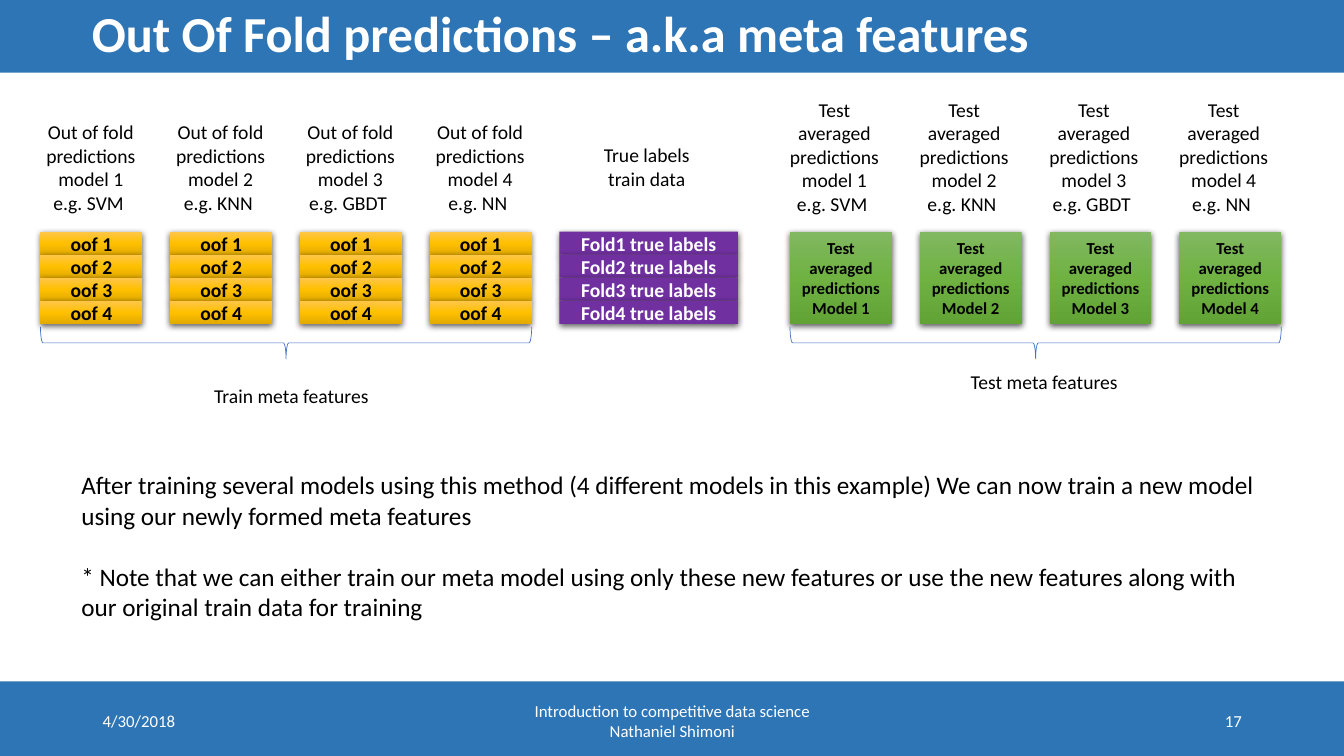
from copy import deepcopy
from dataclasses import dataclass

from lxml.etree import SubElement
from pptx import Presentation
from pptx.dml.color import RGBColor
from pptx.enum.shapes import MSO_SHAPE
from pptx.enum.text import MSO_ANCHOR, MSO_AUTO_SIZE, PP_ALIGN
from pptx.oxml.ns import qn
from pptx.shapes.autoshape import Shape
from pptx.slide import Slide
from pptx.text.text import TextFrame
from pptx.util import Cm, Pt

FONT = "Calibri"
BLACK, WHITE, BLUE, PURPLE = "000000", "FFFFFF", "2E75B6", "7030A0"
BRACE_BLUE = "4472C4"
GOLD = ("FFC64B", "FFC000", "E3AB00")
GREEN = ("81B861", "6FB242", "62A336")

MODELS = ("SVM", "KNN", "GBDT", "NN")
FOLDS = range(1, 5)
SLIDE_WIDTH, BAND_HEIGHT = 33.87, 1.88
PITCH, BOX_WIDTH = 3.27, 2.57
BOX_TOP, FOLD_HEIGHT = 5.84, 0.58
LABEL_WIDTH = 2.84
BRACE_DEPTH, BRACE_MIDDLE = 0.81, 8.64


@dataclass(frozen=True)
class Area:
    left: float
    top: float
    width: float
    height: float

    def lengths(self) -> tuple[Cm, Cm, Cm, Cm]:
        return Cm(self.left), Cm(self.top), Cm(self.width), Cm(self.height)


@dataclass(frozen=True)
class TextStyle:
    size: float
    color: str = BLACK
    bold: bool = False
    align: PP_ALIGN = PP_ALIGN.CENTER
    anchor: MSO_ANCHOR = MSO_ANCHOR.MIDDLE
    gap: float = 0


@dataclass(frozen=True)
class MetaFeatures:
    """Four model columns with their heading, brace and caption."""
    left: float
    heading: str
    heading_shift: float
    heading_top: float
    heading_height: float
    caption: str
    caption_left: float
    caption_top: float


TRAIN = MetaFeatures(1.02, "Out of fold predictions", -0.15, 2.9, 2.64,
                     "Train meta features", 2.06, 9.55)
TEST = MetaFeatures(19.91, "Test averaged predictions", -0.3, 2.34, 3.25,
                    "Test meta features", 21.03, 9.19)

HEADING = TextStyle(14, anchor=MSO_ANCHOR.TOP)
FOLD = TextStyle(14, bold=True)
TRUE_FOLD = TextStyle(14, WHITE, bold=True)
TEST_BOX = TextStyle(12, bold=True)
TITLE = TextStyle(36, WHITE, bold=True, align=PP_ALIGN.LEFT)
BODY = TextStyle(18, align=PP_ALIGN.LEFT, anchor=MSO_ANCHOR.TOP, gap=22)

FOOTER = (
    (2.34, 7.62, PP_ALIGN.LEFT, ("4/30/2018",)),
    (11.23, 11.43, PP_ALIGN.CENTER,
     ("Introduction to competitive data science", "Nathaniel Shimoni")),
    (23.93, 7.62, PP_ALIGN.RIGHT, ("17",)),
)
EXPLANATION = (
    "After training several models using this method (4 different models in this "
    "example) We can now train a new model using our newly formed meta features",
    "* Note that we can either train our meta model using only these new features "
    "or use the new features along with our original train data for training",
)


def rgb(color: str) -> RGBColor:
    return RGBColor.from_string(color)


def write(frame: TextFrame, lines: tuple[str, ...], style: TextStyle) -> None:
    frame.word_wrap = True
    frame.auto_size = MSO_AUTO_SIZE.NONE
    frame.vertical_anchor = style.anchor
    for index, line in enumerate(lines):
        paragraph = frame.add_paragraph() if index else frame.paragraphs[0]
        paragraph.alignment = style.align
        paragraph.space_before = Pt(style.gap if index else 0)
        run = paragraph.add_run()
        run.text = line
        run.font.name = FONT
        run.font.size = Pt(style.size)
        run.font.bold = style.bold
        run.font.color.rgb = rgb(style.color)


def add_text(slide: Slide, area: Area, style: TextStyle, *lines: str) -> None:
    write(slide.shapes.add_textbox(*area.lengths()).text_frame, lines, style)


def add_block(slide: Slide, area: Area, *colors: str) -> Shape:
    """Add a borderless rectangle, with a vertical gradient for several colours."""
    block = slide.shapes.add_shape(MSO_SHAPE.RECTANGLE, *area.lengths())
    block.shadow.inherit = False
    block.line.fill.background()
    if len(colors) == 1:
        block.fill.solid()
        block.fill.fore_color.rgb = rgb(colors[0])
        return block
    block.fill.gradient()
    block.fill.gradient_angle = 270
    stops = block.element.spPr.find(".//" + qn("a:gsLst"))
    stops.insert(1, deepcopy(stops[0]))
    for index, (stop, color) in enumerate(zip(block.fill.gradient_stops, colors)):
        stop.position = index / (len(colors) - 1)
        stop.color.rgb = rgb(color)
    return block


def add_shadow(block: Shape) -> None:
    effects = block.element.spPr.find(qn("a:effectLst"))
    shadow = SubElement(effects, qn("a:outerShdw"), blurRad=str(Pt(4.5)),
                        dist=str(Pt(1.5)), dir="5400000", algn="ctr",
                        rotWithShape="0")
    color = SubElement(shadow, qn("a:srgbClr"), val=BLACK)
    SubElement(color, qn("a:alpha"), val="63000")


def add_data_box(slide: Slide, area: Area, colors: tuple[str, ...],
                 style: TextStyle, *lines: str) -> None:
    box = add_block(slide, area, *colors)
    add_shadow(box)
    write(box.text_frame, lines, style)


def add_fold_stack(slide: Slide, left: float, width: float, colors: tuple[str, ...],
                   style: TextStyle, wording: str) -> None:
    for fold in FOLDS:
        area = Area(left, BOX_TOP + (fold - 1) * FOLD_HEIGHT, width, FOLD_HEIGHT)
        add_data_box(slide, area, colors, style, wording.format(fold))


def add_meta_features(slide: Slide, group: MetaFeatures) -> None:
    for index, model in enumerate(MODELS):
        number, left = index + 1, group.left + index * PITCH
        add_text(slide, Area(left + group.heading_shift, group.heading_top,
                             LABEL_WIDTH, group.heading_height),
                 HEADING, f"{group.heading} model {number} e.g. {model} ")
        if group is TRAIN:
            add_fold_stack(slide, left, BOX_WIDTH, GOLD, FOLD, "oof {}")
        else:
            add_data_box(slide, Area(left, BOX_TOP, BOX_WIDTH, 4 * FOLD_HEIGHT),
                         GREEN, TEST_BOX, group.heading, f"Model {number}")

    span = (len(MODELS) - 1) * PITCH + BOX_WIDTH
    brace_area = Area(group.left + (span - BRACE_DEPTH) / 2, BRACE_MIDDLE - span / 2,
                      BRACE_DEPTH, span)
    brace = slide.shapes.add_shape(MSO_SHAPE.LEFT_BRACE, *brace_area.lengths())
    brace.rotation = 270
    brace.shadow.inherit = False
    brace.fill.background()
    brace.line.color.rgb = rgb(BRACE_BLUE)
    brace.line.width = Pt(0.5)
    add_text(slide, Area(group.caption_left, group.caption_top, 10.57, 0.86),
             HEADING, group.caption)


def add_title_and_footer(slide: Slide) -> None:
    title = slide.shapes.title
    header = add_block(slide, Area(0, -0.05, SLIDE_WIDTH, BAND_HEIGHT), BLUE)
    title.element.addprevious(header.element)
    title.left, title.top, title.width, title.height = Area(2.06, 0, 29.21, 1.83).lengths()
    write(title.text_frame, ("Out Of Fold predictions – a.k.a meta features",), TITLE)
    title.text_frame.paragraphs[0].line_spacing = 0.9

    add_block(slide, Area(0, 17.17, SLIDE_WIDTH, BAND_HEIGHT), BLUE)
    for left, width, align, lines in FOOTER:
        add_text(slide, Area(left, 17.65, width, 1.01),
                 TextStyle(12, WHITE, align=align), *lines)


def main() -> None:
    deck = Presentation()
    deck.slide_width, deck.slide_height = Cm(SLIDE_WIDTH), Cm(19.05)
    slide = deck.slides.add_slide(deck.slide_layouts.get_by_name("Title Only"))
    add_title_and_footer(slide)
    add_meta_features(slide, TRAIN)
    add_text(slide, Area(14.88, 3.48, LABEL_WIDTH, 1.45), HEADING, "True labels train data")
    add_fold_stack(slide, 14.1, 4.5, (PURPLE,), TRUE_FOLD, "Fold{} true labels")
    add_meta_features(slide, TEST)
    add_text(slide, Area(1.8, 11.71, 30.25, 4.11), BODY, *EXPLANATION)
    deck.save("out.pptx")


if __name__ == "__main__":
    main()
